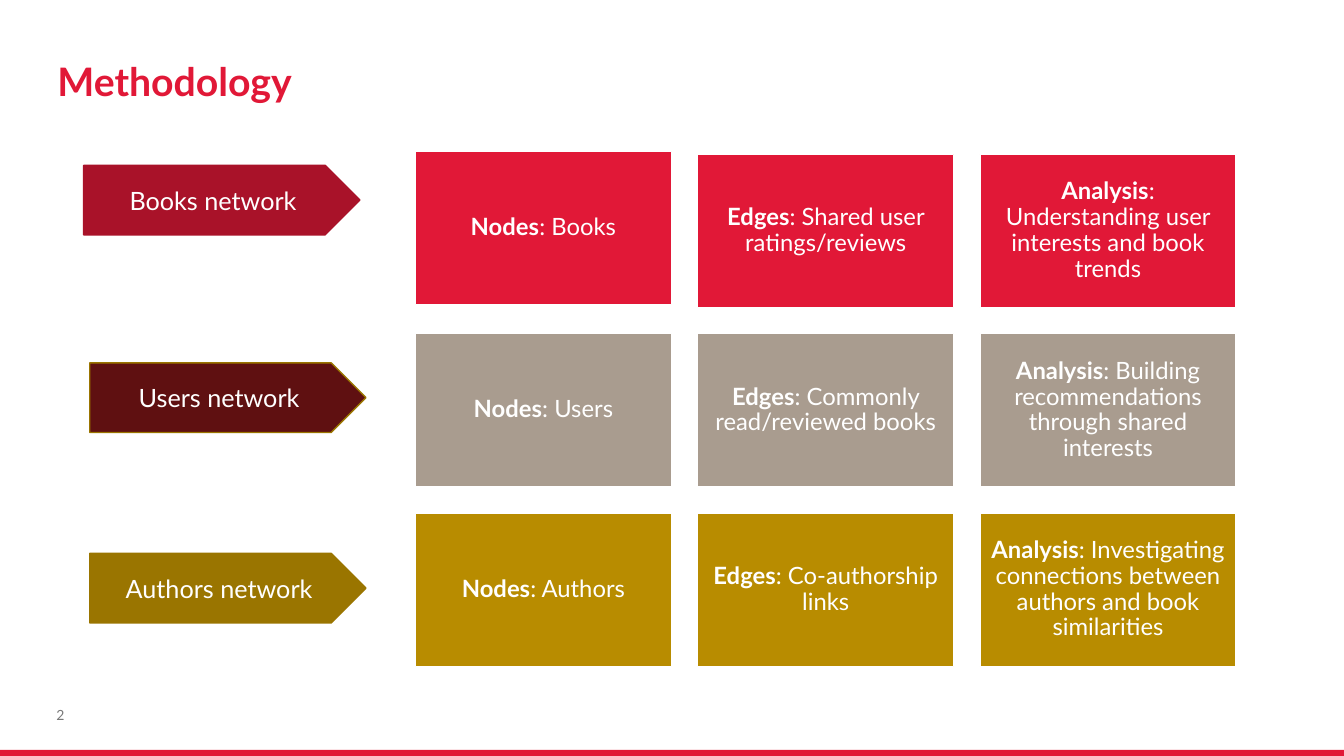
from dataclasses import dataclass

import pptx
import pptx.util
from pptx.dml.color import RGBColor
from pptx.enum.shapes import MSO_SHAPE
from pptx.enum.text import MSO_ANCHOR, MSO_AUTO_SIZE, PP_ALIGN
from pptx.shapes.autoshape import Shape
from pptx.slide import Slide
from pptx.text.text import TextFrame

EMU_PER_PX = 9144  # 100 px to the inch
FONT = "Lato"
COLOURS = {
    "red": "E11837",
    "taupe": "A99C8F",
    "gold": "B88C00",
    "crimson": "A91229",
    "maroon": "5F1011",
    "bronze": "9A7500",
    "white": "FFFFFF",
    "grey": "797979",
}

CARD_LEFT, CARD_TOP = 412, 153
CARD_WIDTH, CARD_HEIGHT = 254, 152
COLUMN_PITCH, ROW_PITCH = 280, 178
CARD_HEADINGS = ("Nodes", "Edges", "Analysis")


@dataclass(frozen=True)
class Box:
    left: int
    top: int
    width: int
    height: int


@dataclass(frozen=True)
class Run:
    text: str
    size: int
    colour: str = "white"
    bold: bool = False


@dataclass(frozen=True)
class Network:
    name: str
    arrow: Box
    arrow_fill: str
    arrow_line: str
    card_fill: str
    details: tuple[str, str, str]
    nodes_shift: int = 0


NETWORKS = (
    Network("Books network", Box(83, 164, 274, 69), "crimson", "crimson", "red",
            ("Books", "Shared user ratings/reviews",
             "Understanding user interests and book trends"), nodes_shift=-3),
    Network("Users network", Box(89, 360, 274, 69), "maroon", "bronze", "taupe",
            ("Users", "Commonly read/reviewed books",
             "Building recommendations through shared interests")),
    Network("Authors network", Box(89, 549, 274, 69), "bronze", "bronze", "gold",
            ("Authors", "Co-authorship links",
             "Investigating connections between authors and book similarities")),
)


def px(length: int) -> pptx.util.Emu:
    return pptx.util.Emu(length * EMU_PER_PX)


def rgb(name: str) -> RGBColor:
    return RGBColor.from_string(COLOURS[name])


def place(shape: Shape, box: Box) -> None:
    shape.left, shape.top = px(box.left), px(box.top)
    shape.width, shape.height = px(box.width), px(box.height)


def write(frame: TextFrame, runs: list[Run], anchor: MSO_ANCHOR, align: PP_ALIGN,
          line_spacing: float = 1.0, inset: int | None = None) -> None:
    """Fill the frame's first paragraph; an inset of None keeps the default margins."""
    frame.word_wrap = True
    frame.auto_size = MSO_AUTO_SIZE.NONE
    frame.vertical_anchor = anchor
    if inset is not None:
        frame.margin_left = frame.margin_right = px(inset)
        frame.margin_top = frame.margin_bottom = px(inset)
    paragraph = frame.paragraphs[0]
    paragraph.alignment = align
    paragraph.line_spacing = line_spacing
    for item in runs:
        run = paragraph.add_run()
        run.text = item.text
        run.font.name = FONT
        run.font.size = pptx.util.Pt(item.size)
        run.font.bold = item.bold
        run.font.color.rgb = rgb(item.colour)


def add_filled(slide: Slide, kind: MSO_SHAPE, box: Box, fill: str,
               line: str | None = None) -> Shape:
    shape = slide.shapes.add_shape(kind, px(box.left), px(box.top),
                                   px(box.width), px(box.height))
    shape.shadow.inherit = False
    shape.fill.solid()
    shape.fill.fore_color.rgb = rgb(fill)
    if line is None:
        shape.line.fill.background()
    else:
        shape.line.color.rgb = rgb(line)
        shape.line.width = pptx.util.Pt(1)
    return shape


def add_network(slide: Slide, network: Network, row: int) -> None:
    """Draw the name arrow and the three cards of one row."""
    arrow = add_filled(slide, MSO_SHAPE.PENTAGON, network.arrow,
                       network.arrow_fill, network.arrow_line)
    write(arrow.text_frame, [Run(network.name, 18)], MSO_ANCHOR.MIDDLE, PP_ALIGN.CENTER)
    for column, (heading, detail) in enumerate(zip(CARD_HEADINGS, network.details)):
        shift = network.nodes_shift if column == 0 else 0
        box = Box(CARD_LEFT + column * COLUMN_PITCH, CARD_TOP + row * ROW_PITCH + shift,
                  CARD_WIDTH, CARD_HEIGHT)
        card = add_filled(slide, MSO_SHAPE.RECTANGLE, box, network.card_fill, "white")
        write(card.text_frame, [Run(heading, 17, bold=True), Run(f": {detail}", 17)],
              MSO_ANCHOR.MIDDLE, PP_ALIGN.CENTER, line_spacing=0.9, inset=7)


def main() -> None:
    presentation = pptx.Presentation()
    presentation.slide_width, presentation.slide_height = px(1333), px(750)
    slide = presentation.slides.add_slide(presentation.slide_layouts[5])

    add_filled(slide, MSO_SHAPE.RECTANGLE, Box(0, 744, 1333, 6), "red")

    title = slide.shapes.title
    place(title, Box(57, 25, 1221, 79))
    write(title.text_frame, [Run("Methodology", 28, "red", bold=True)],
          MSO_ANCHOR.BOTTOM, PP_ALIGN.LEFT, line_spacing=0.85, inset=0)

    page_number = slide.shapes.add_textbox(px(56), px(689), px(46), px(40))
    write(page_number.text_frame, [Run("2", 10, "grey")],
          MSO_ANCHOR.MIDDLE, PP_ALIGN.LEFT, inset=0)

    for row, network in enumerate(NETWORKS):
        add_network(slide, network, row)

    presentation.save("out.pptx")


if __name__ == "__main__":
    main()
